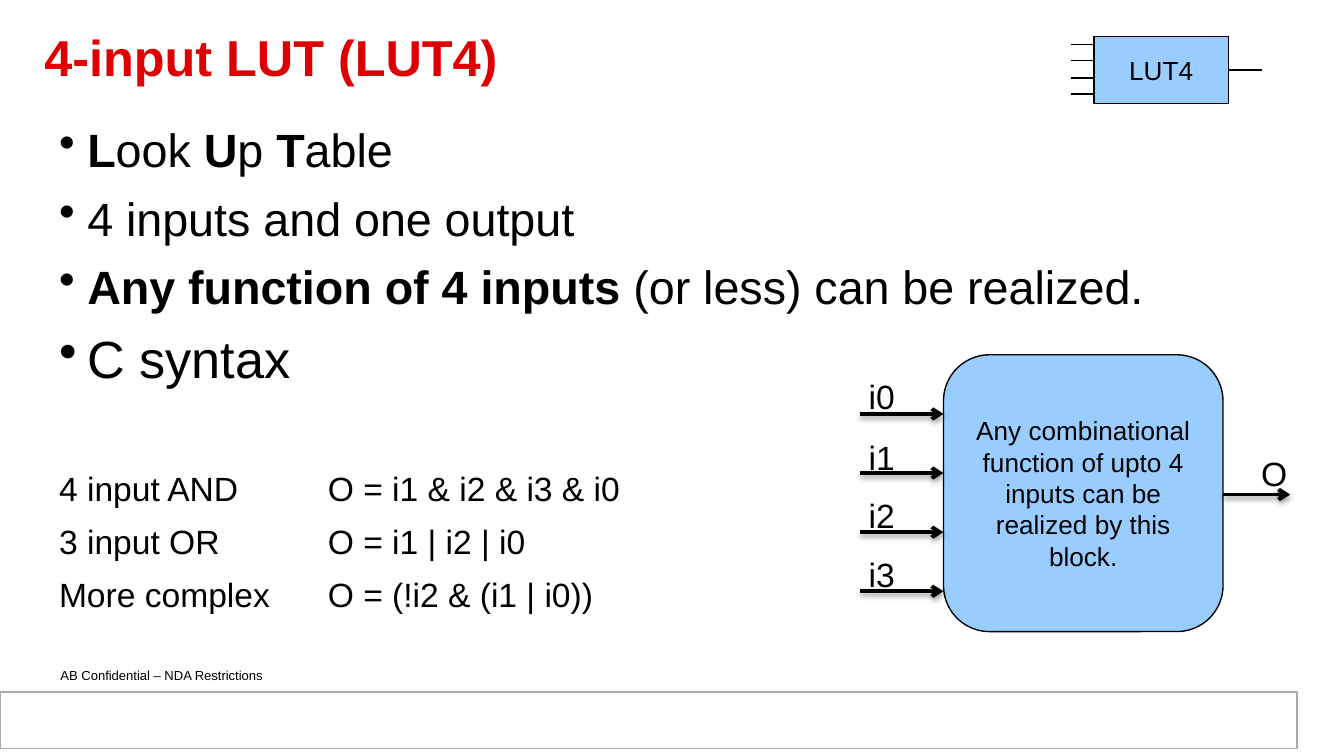
from dataclasses import dataclass
from typing import Optional

from lxml import etree
from pptx import Presentation
from pptx.dml.color import RGBColor
from pptx.enum.shapes import MSO_CONNECTOR, MSO_SHAPE
from pptx.enum.text import MSO_ANCHOR, PP_ALIGN
from pptx.oxml.ns import qn
from pptx.util import Pt

PX = 9144
SLIDE_WIDTH = 1000 * PX
SLIDE_HEIGHT = SLIDE_WIDTH * 9 // 16
FONT = "Arial"
BLACK = RGBColor(0x00, 0x00, 0x00)
WHITE = RGBColor(0xFF, 0xFF, 0xFF)
RED = RGBColor(0xDE, 0x00, 0x00)
GRAY = RGBColor(0xAA, 0xAA, 0xAA)
BLUE = RGBColor(0x99, 0xCC, 0xFF)
RECTANGLE = MSO_SHAPE.RECTANGLE
ROUNDED = MSO_SHAPE.ROUNDED_RECTANGLE
STRAIGHT = MSO_CONNECTOR.STRAIGHT
TOP, MIDDLE = MSO_ANCHOR.TOP, MSO_ANCHOR.MIDDLE
LEFT, CENTER = PP_ALIGN.LEFT, PP_ALIGN.CENTER


@dataclass
class Box:
    left: int
    top: int
    width: int
    height: int

    def emu(self) -> tuple:
        return tuple(n * PX for n in (self.left, self.top, self.width, self.height))


@dataclass
class Block:
    box: Box
    fill: RGBColor
    line: Optional[RGBColor] = None
    kind: int = RECTANGLE
    text: str = ""


@dataclass
class Line:
    left: int
    right: int
    y: int
    arrow: bool = False


@dataclass
class Label:
    box: Box
    text: str
    size: int = 18
    color: RGBColor = BLACK
    bold: bool = False
    align: int = CENTER
    anchor: int = MIDDLE
    margins: tuple = (10, 5)
    spacing: float = 1.0


@dataclass
class Entry:
    runs: list
    size: int
    bullet: bool = False
    before: float = 6.7


def prepare_frame(frame, anchor: int, margins: tuple) -> None:
    frame.word_wrap = True
    frame.vertical_anchor = anchor
    frame.margin_left = frame.margin_right = margins[0] * PX
    frame.margin_top = frame.margin_bottom = margins[1] * PX


def write(paragraph, text: str, size: int, color: RGBColor, bold: bool, align: int) -> None:
    paragraph.add_run().text = text
    paragraph.alignment = align
    font = paragraph.font
    font.name, font.size, font.bold = FONT, Pt(size), bold
    font.color.rgb = color


def draw_block(slide, block: Block) -> None:
    shape = slide.shapes.add_shape(block.kind, *block.box.emu())
    shape.shadow.inherit = False
    shape.fill.solid()
    shape.fill.fore_color.rgb = block.fill
    if block.line is None:
        shape.line.fill.background()
    else:
        shape.line.color.rgb = block.line
        shape.line.width = Pt(0.75)
    if block.text:
        prepare_frame(shape.text_frame, MIDDLE, (9, 4))
        write(shape.text_frame.paragraphs[0], block.text, 14, BLACK, False, CENTER)


def draw_line(slide, line: Line) -> None:
    y = line.y * PX
    connector = slide.shapes.add_connector(STRAIGHT, line.left * PX, y, line.right * PX, y)
    connector.line.color.rgb = BLACK
    connector.line.width = Pt(2 if line.arrow else 0.75)
    properties = connector.element.spPr
    effects = etree.SubElement(properties, qn("a:effectLst"))
    if line.arrow:
        etree.SubElement(properties.find(qn("a:ln")), qn("a:tailEnd"), type="arrow")
        shadow = etree.SubElement(
            effects, qn("a:outerShdw"), blurRad=str(Pt(3.1)), dist=str(Pt(1.6)),
            dir="5400000", rotWithShape="0")
        color = etree.SubElement(shadow, qn("a:srgbClr"), val=str(BLACK))
        etree.SubElement(color, qn("a:alpha"), val="38000")


def draw_label(slide, label: Label) -> None:
    frame = slide.shapes.add_textbox(*label.box.emu()).text_frame
    prepare_frame(frame, label.anchor, label.margins)
    paragraph = frame.paragraphs[0]
    paragraph.line_spacing = label.spacing
    write(paragraph, label.text, label.size, label.color, label.bold, label.align)


def draw_body(slide, box: Box, entries: list) -> None:
    frame = slide.shapes.add_textbox(*box.emu()).text_frame
    prepare_frame(frame, TOP, (8, 4))
    for index, entry in enumerate(entries):
        paragraph = frame.add_paragraph() if index else frame.paragraphs[0]
        paragraph.space_before = Pt(entry.before)
        paragraph.font.name = FONT
        paragraph.font.size = Pt(entry.size)
        paragraph.font.color.rgb = BLACK
        for text, bold in entry.runs:
            run = paragraph.add_run()
            run.text = text
            run.font.bold = bold
        properties = paragraph._p.get_or_add_pPr()
        if entry.bullet:
            properties.set("marL", str(21 * PX))
            properties.set("indent", str(-21 * PX))
            detail = etree.Element(qn("a:buChar"), char="•")
        else:
            detail = etree.Element(qn("a:tabLst"))
            etree.SubElement(detail, qn("a:tab"), pos=str(200 * PX), algn="l")
        properties.find(qn("a:defRPr")).addprevious(detail)


BLOCKS = [
    Block(Box(5, 519, 956, 38), WHITE),
    Block(Box(0, 515, 965, 42), WHITE, GRAY),
    Block(Box(702, 264, 208, 206), BLUE, BLACK, ROUNDED,
          "Any combinational function of upto 4 inputs can be realized by this block."),
    Block(Box(814, 27, 100, 50), BLUE, BLACK, text="LUT4"),
]
INPUT_ARROWS = [Line(640, 702, 308 + 44 * i, True) for i in range(4)]
INPUT_STUBS = [Line(797, 814, y) for y in (33, 45, 58, 70)]
OUTPUTS = [Line(910, 960, 368, True), Line(914, 939, 52)]
INPUT_LABELS = [Label(Box(627, top, 58, 40), f"i{i}")
                for i, top in enumerate((275, 320, 363, 407))]
LABELS = [
    Label(Box(37, 493, 231, 20), "AB Confidential – NDA Restrictions", 7,
          align=LEFT, anchor=TOP, margins=(8, 4)),
    Label(Box(25, 12, 925, 67), "4-input LUT (LUT4)", 27, RED, True, LEFT,
          margins=(8, 4), spacing=0.85),
    Label(Box(919, 332, 58, 40), "O"),
]
ENTRIES = [
    Entry([("L", True), ("ook ", False), ("U", True), ("p ", False),
           ("T", True), ("able", False)], 25, True),
    Entry([("4 inputs and one output", False)], 25, True),
    Entry([("Any function of 4 inputs", True), (" (or less) can be realized.", False)], 25, True),
    Entry([("C syntax", False)], 28, True),
    Entry([("4 input AND \tO = i1 & i2 & i3 & i0", False)], 18, before=42.2),
    Entry([("3 input OR \tO = i1 | i2 | i0", False)], 18),
    Entry([("More complex \tO = (!i2 & (i1 | i0))", False)], 18),
]


def main() -> None:
    presentation = Presentation()
    presentation.slide_width = SLIDE_WIDTH
    presentation.slide_height = SLIDE_HEIGHT
    slide = presentation.slides.add_slide(presentation.slide_layouts[6])
    for block in BLOCKS:
        draw_block(slide, block)
    for line in INPUT_ARROWS + INPUT_STUBS + OUTPUTS:
        draw_line(slide, line)
    for label in LABELS + INPUT_LABELS:
        draw_label(slide, label)
    draw_body(slide, Box(36, 86, 926, 406), ENTRIES)
    presentation.save("out.pptx")


if __name__ == "__main__":
    main()
